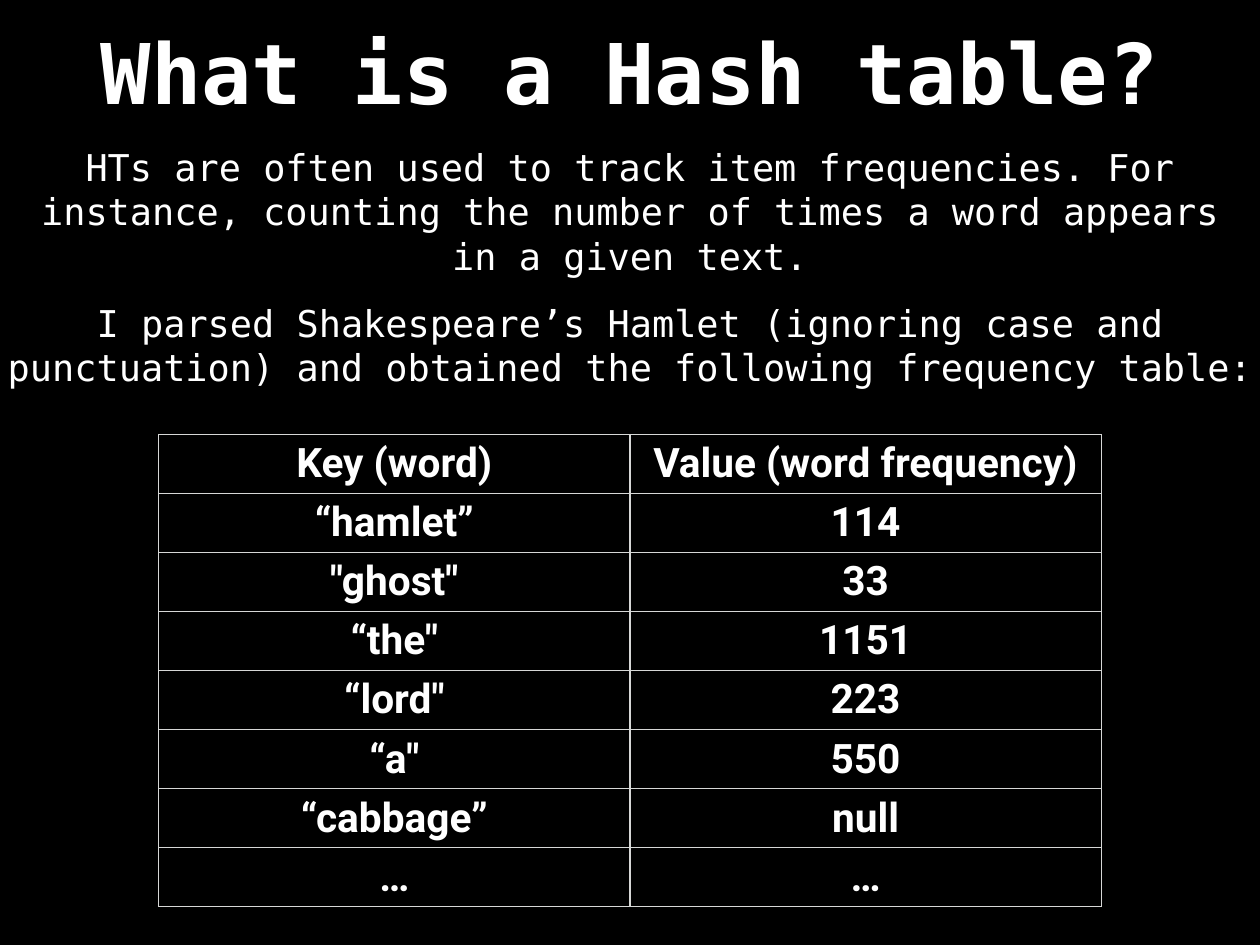
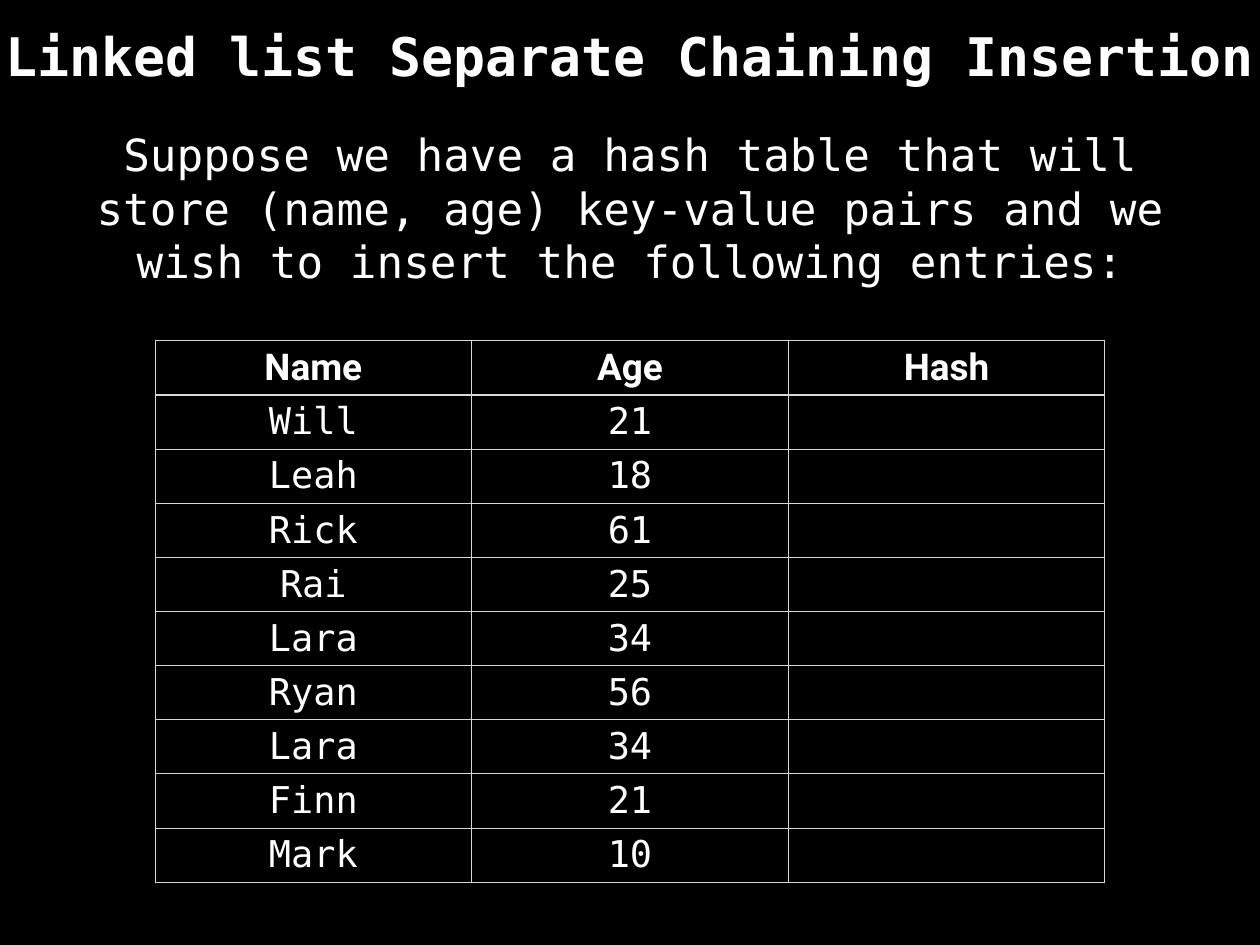
from dataclasses import dataclass

from lxml import etree
from pptx import Presentation
from pptx import util as u
from pptx.dml.color import RGBColor
from pptx.enum import text
from pptx.oxml import ns


@dataclass(frozen=True)
class Theme:
    background: str = "000000"
    ink: str = "FFFFFF"
    grid: str = "D6D7D6"
    mono: str = "DejaVu Sans Mono"
    sans: str = "Roboto"
    title: float = 68
    long_title: float = 43.2
    body: float = 30
    large_body: float = 36
    word_cell: float = 33
    entry_cell: float = 30
    inset: int = 4


THEME = Theme()
PX = 12700  # EMU in one px of the 1024 x 768 slide
TITLE_ONLY = 5

WORD_COUNTS = [
    ("Key (word)", "Value (word frequency)"),
    ("“hamlet”", "114"),
    ('"ghost"', "33"),
    ('“the"', "1151"),
    ('“lord"', "223"),
    ('“a"', "550"),
    ("“cabbage”", "null"),
    ("…", "…"),
]
ENTRIES = [
    ("Name", "Age", "Hash"),
    ("Will", "21", ""),
    ("Leah", "18", ""),
    ("Rick", "61", ""),
    ("Rai", "25", ""),
    ("Lara", "34", ""),
    ("Ryan", "56", ""),
    ("Lara", "34", ""),
    ("Finn", "21", ""),
    ("Mark", "10", ""),
]


def emu(box):
    return [u.Emu(length * PX) for length in box]


def write(frame, wording, size, font_name=THEME.mono, bold=False):
    """Put one centred paragraph into a text frame."""
    paragraph = frame.paragraphs[0]
    paragraph.text = wording
    paragraph.alignment = text.PP_ALIGN.CENTER
    font = paragraph.font
    font.name, font.size, font.bold = font_name, u.Pt(size), bold
    font.color.rgb = RGBColor.from_string(THEME.ink)


def set_margins(holder):
    inset = u.Emu(THEME.inset * PX)
    holder.margin_left = holder.margin_right = inset
    holder.margin_top = holder.margin_bottom = inset


def fill_frame(frame, wording, size, bold=False):
    set_margins(frame)
    frame.word_wrap = True
    frame.auto_size = text.MSO_AUTO_SIZE.NONE
    frame.vertical_anchor = text.MSO_ANCHOR.MIDDLE
    write(frame, wording, size, bold=bold)


def add_title(slide, box, wording, size):
    title = slide.shapes.title
    title.left, title.top, title.width, title.height = emu(box)
    fill_frame(title.text_frame, wording, size, bold=True)


def add_body(slide, box, wording, size):
    body = slide.shapes.add_textbox(*emu(box))
    fill_frame(body.text_frame, wording, size)


def draw_borders(cell):
    properties = cell._tc.get_or_add_tcPr()
    for side in ("a:lnL", "a:lnR", "a:lnT", "a:lnB"):
        line = etree.SubElement(properties, ns.qn(side), w=str(PX))
        fill = etree.SubElement(line, ns.qn("a:solidFill"))
        etree.SubElement(fill, ns.qn("a:srgbClr"), val=THEME.grid)


def add_grid(slide, box, rows, size, plain_rows=False):
    """Divide the box evenly; plain_rows sets all but the header in mono."""
    left, top, width, height = emu(box)
    table = slide.shapes.add_table(
        len(rows), len(rows[0]), left, top, width, height).table
    table.first_row = table.horz_banding = False
    for row_index, row in enumerate(rows):
        plain = plain_rows and row_index > 0
        for column_index, wording in enumerate(row):
            cell = table.cell(row_index, column_index)
            set_margins(cell)
            cell.vertical_anchor = text.MSO_ANCHOR.MIDDLE
            draw_borders(cell)
            cell.fill.background()
            if wording:
                write(cell.text_frame, wording, size,
                      THEME.mono if plain else THEME.sans, bold=not plain)


def build_frequency_slide(slide):
    add_title(slide, (75, 12, 874, 92), "What is a Hash table?", THEME.title)
    add_body(slide, (28, 90, 968, 163),
             "HTs are often used to track item frequencies. For instance, "
             "counting the number of times a word appears in a given text.",
             THEME.body)
    add_body(slide, (-16, 217, 1056, 126),
             "I parsed Shakespeare’s Hamlet (ignoring case and punctuation) "
             "and obtained the following frequency table:", THEME.body)
    add_grid(slide, (129, 353, 766, 384), WORD_COUNTS, THEME.word_cell)


def build_insertion_slide(slide):
    add_title(slide, (0, -2, 1024, 94),
              "Linked list Separate Chaining Insertion", THEME.long_title)
    add_body(slide, (58, 103, 908, 131),
             "Suppose we have a hash table that will store (name, age) "
             "key-value pairs and we wish to insert the following entries:",
             THEME.large_body)
    add_grid(slide, (126, 277, 772, 440), ENTRIES, THEME.entry_cell,
             plain_rows=True)


def main():
    deck = Presentation()
    deck.slide_width, deck.slide_height = emu((1024, 768))
    # Shared background
    backdrop = deck.slide_master.background.fill
    backdrop.solid()
    backdrop.fore_color.rgb = RGBColor.from_string(THEME.background)
    for build in (build_frequency_slide, build_insertion_slide):
        build(deck.slides.add_slide(deck.slide_layouts[TITLE_ONLY]))
    deck.save("out.pptx")


if __name__ == "__main__":
    main()
